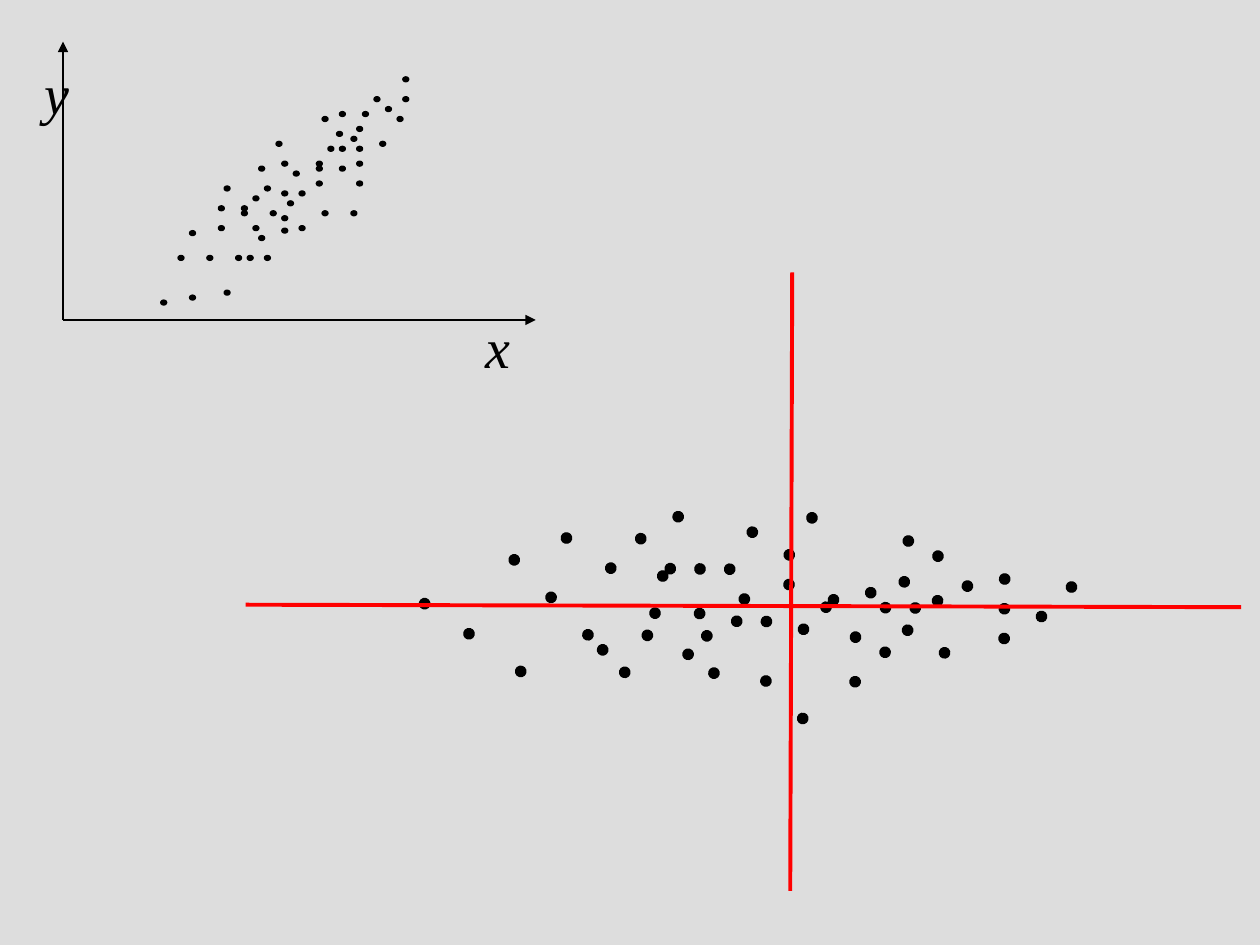
from math import cos, radians, sin

from lxml import etree
from pptx import Presentation
from pptx.dml.color import RGBColor
from pptx.enum.shapes import MSO_CONNECTOR, MSO_SHAPE
from pptx.enum.text import MSO_ANCHOR, PP_ALIGN
from pptx.oxml.ns import qn
from pptx.util import Cm, Pt

STRAIGHT = MSO_CONNECTOR.STRAIGHT
OVAL = MSO_SHAPE.OVAL
BOTTOM = MSO_ANCHOR.BOTTOM
CENTER = PP_ALIGN.CENTER

BLACK, RED, GREY = "000000", "FF0000", "DDDDDD"
FONT = "Times New Roman"
ANGLE = 45.5

SAMPLES = [
    (37, 41), (42, 41), (41, 37), (38, 32), (11, 23), (34, 31), (34, 28),
    (31, 27), (33, 18), (34, 24), (28, 18), (22, 20), (21, 17), (21, 14.5),
    (17, 13), (24, 15), (13, 9), (11, 2), (42, 45), (39, 39), (35, 38),
    (34, 35), (33, 33), (31, 31), (29, 31), (27, 27), (27, 24), (24, 22),
    (21, 22), (19, 18), (16, 15), (14, 18), (15, 9), (8, 9), (18, 9),
    (31, 38), (28, 37), (27, 28), (30.5, 34), (23, 26), (21, 28), (17, 27),
    (18, 23), (16, 21), (14, 19), (3, 9), (10, 15), (20, 32), (10, 19),
    (5, 14), (5, 1), (0, 0),
]


def color(value):
    return RGBColor.from_string(value)


def add_dot(group, x, y, width, height, rotation):
    dot = group.shapes.add_shape(
        OVAL, Cm(x - width / 2), Cm(y - height / 2), Cm(width), Cm(height))
    dot.rotation = rotation
    dot.shadow.inherit = False
    dot.fill.solid()
    dot.fill.fore_color.rgb = color(BLACK)
    dot.line.color.rgb = color(BLACK)
    dot.line.width = Pt(0.75)


def add_line(group, start, end, line_color, width, arrow=False):
    line = group.shapes.add_connector(
        STRAIGHT, Cm(start[0]), Cm(start[1]), Cm(end[0]), Cm(end[1]))
    line.line.color.rgb = color(line_color)
    line.line.width = Pt(width)
    if arrow:
        outline = line.line._get_or_add_ln()
        etree.SubElement(outline, qn("a:tailEnd"), type="triangle")
    etree.SubElement(line._element.spPr, qn("a:effectLst"))


def add_text(group, text, left, top, width, height, *, size, italic=False):
    box = group.shapes.add_textbox(Cm(left), Cm(top), Cm(width), Cm(height))
    frame = box.text_frame
    frame.word_wrap = False
    frame.vertical_anchor = BOTTOM
    para = frame.paragraphs[0]
    para.alignment = CENTER
    span = para.add_run()
    span.text = text
    span.font.name = FONT
    span.font.size = Pt(size)
    span.font.italic = italic
    span.font.color.rgb = color(BLACK)


def add_raw_scatter(page, left, top, width, height):
    group = page.shapes.add_group_shape()
    step_x, step_y = 4.88 / 42, 0.1
    for u, v in SAMPLES:
        add_dot(group, left + 2.03 + u * step_x, top + 5.26 - v * step_y,
                0.1, 0.12, 90)
    origin = (left, top + height)
    add_line(group, origin, (left + width, top + height), BLACK, 0.75, arrow=True)
    add_line(group, origin, (left, top), BLACK, 0.75, arrow=True)
    for text, x, y in (("x", 8.26, 5.31), ("y", -0.63, 0.2)):
        add_text(group, text, left + x, top + y, 0.94, 1.63, size=32, italic=True)


def add_rotated_scatter(page, left, top, width, height):
    group = page.shapes.add_group_shape()
    step = 8.9 / 42
    cosine, sine = cos(radians(ANGLE)), sin(radians(ANGLE))
    for u, v in SAMPLES:
        add_dot(group, left + 3.61 + step * (u * cosine + v * sine),
                top + 6.68 + step * (u * sine - v * cosine),
                0.21, 0.21, 90 + ANGLE)
    add_line(group, (left, top + 6.7), (left + width, top + 6.75), RED, 2.25)
    add_line(group, (left + 10.98, top + height), (left + 11.02, top), RED, 2.25)


def main():
    deck = Presentation()
    deck.slide_width, deck.slide_height = Cm(25.4), Cm(19.05)
    page = deck.slides.add_slide(deck.slide_layouts[6])
    page.background.fill.solid()
    page.background.fill.fore_color.rgb = color(GREY)
    add_raw_scatter(page, 1.27, 0.84, 9.53, 5.61)
    add_rotated_scatter(page, 4.95, 5.49, 20.07, 12.47)
    deck.save("out.pptx")


if __name__ == "__main__":
    main()
